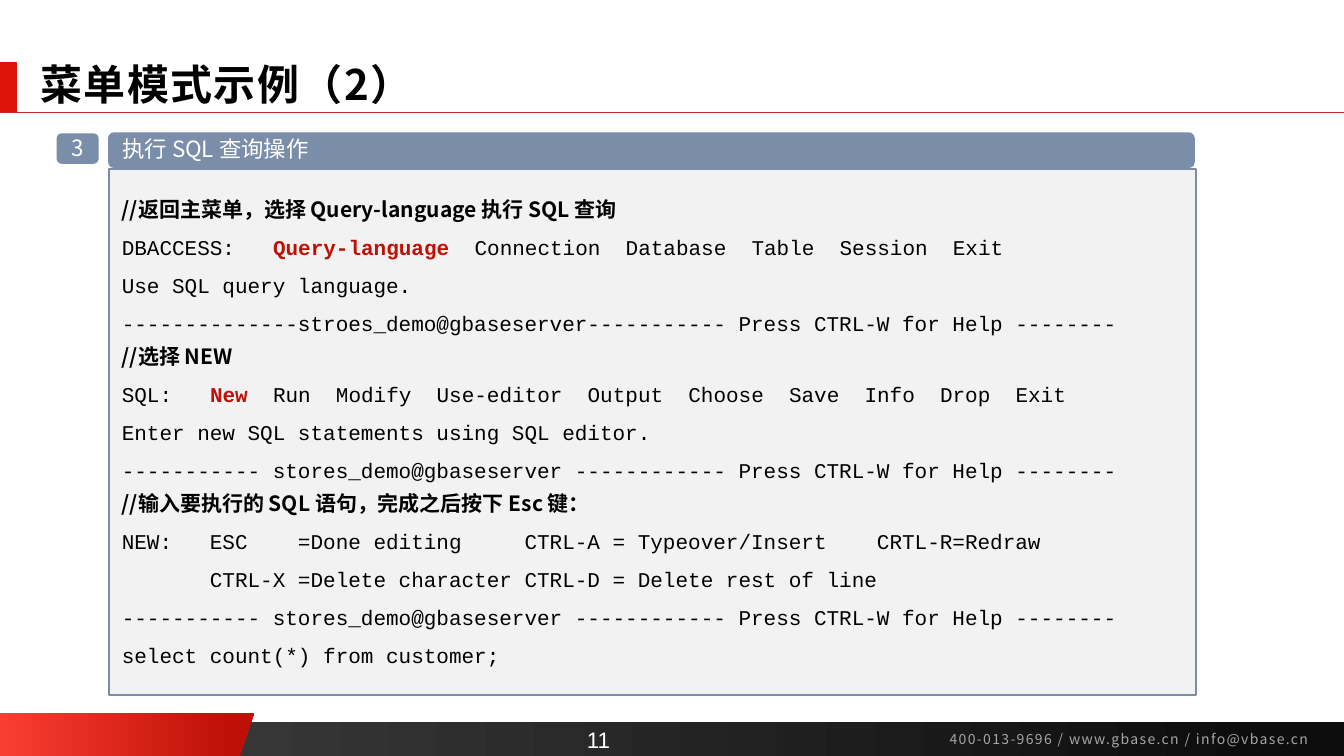
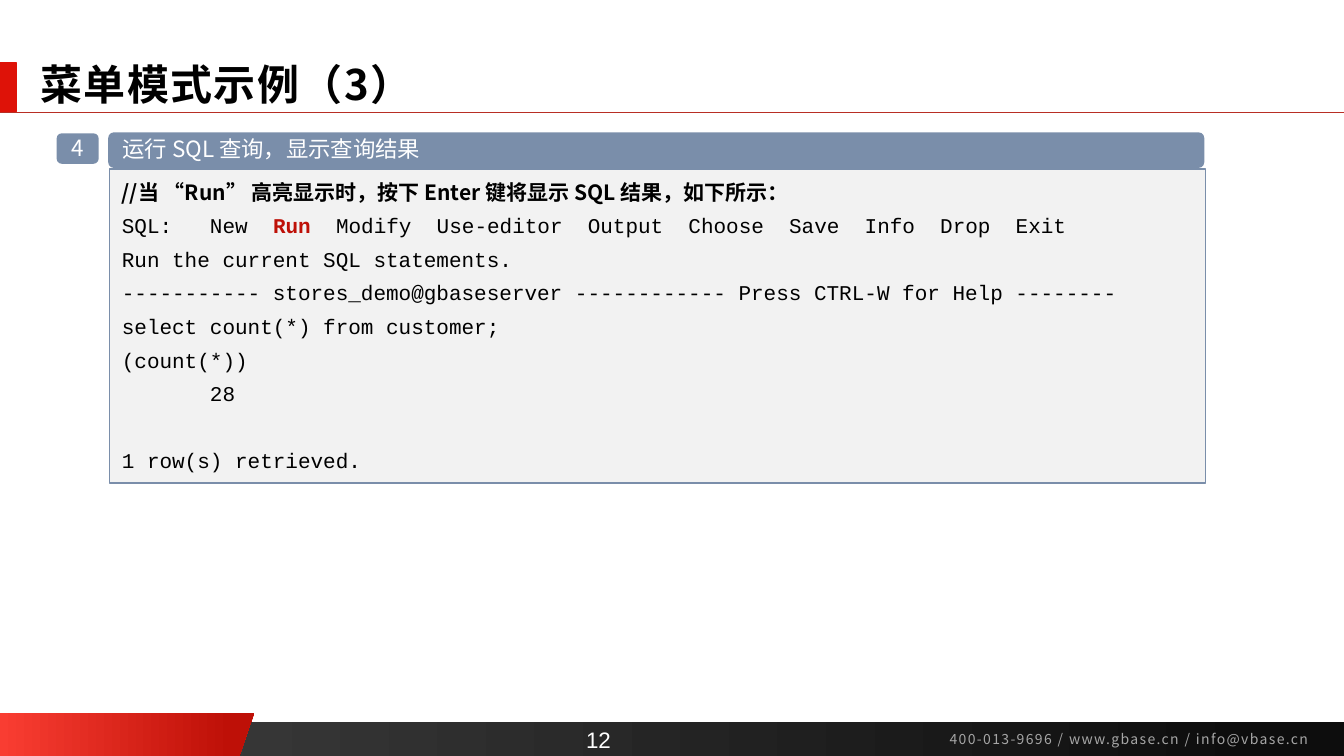
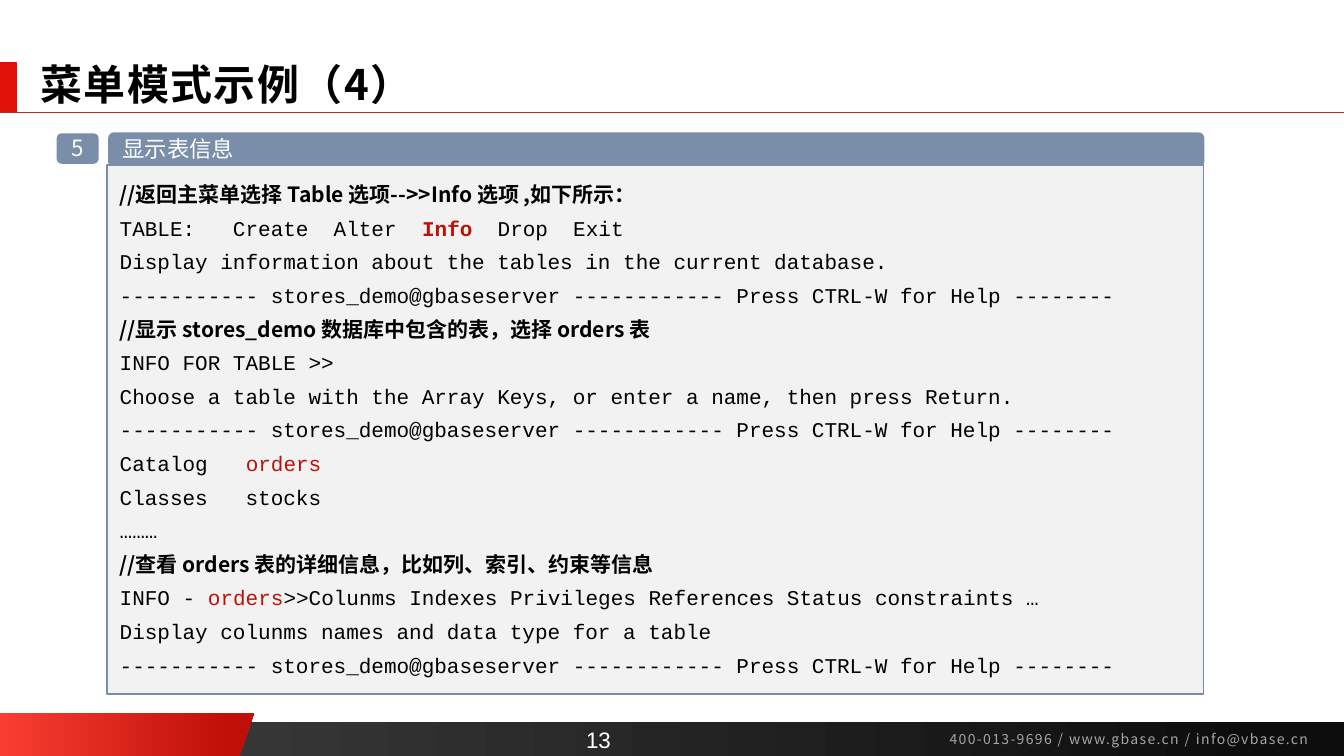
from lxml.etree import SubElement
from pptx import Presentation
from pptx.dml.color import RGBColor
from pptx.enum.shapes import MSO_CONNECTOR, MSO_SHAPE
from pptx.enum.text import MSO_ANCHOR, MSO_AUTO_SIZE, PP_ALIGN
from pptx.oxml.ns import qn
from pptx.util import Emu, Pt

PX = 9525
SANS, MONO, DIGITS = "Noto Sans CJK SC", "Courier New", "Arial"
COLORS = {
    "black": "000000", "white": "FFFFFF", "panel": "F2F2F2", "slate": "7A8EAA",
    "bar": "DE1208", "rule": "B82E24", "pick": "BE1007", "wedge": "F93D32",
    "band_from": "404040", "band_to": "0D0D0D", "contact": "A6A6A6",
}
STYLES = {
    "note": dict(font=SANS, size=15, bold=True),
    "code": dict(font=MONO, size=15),
    "pick": dict(font=MONO, size=15, color="pick", bold=True),
    "name": dict(font=MONO, size=15, color="pick"),
    "title": dict(font=SANS, size=30, bold=True, spacing=100),
    "label": dict(font=SANS, size=16, color="white"),
    "contact": dict(font=SANS, size=10, color="contact", spacing=100),
    "page": dict(font=DIGITS, size=16, color="white"),
}
HELP = "----------- stores_demo@gbaseserver ------------ Press CTRL-W for Help --------"


def px(*values):
    return [Emu(v * PX) for v in values]


def rgb(name):
    return RGBColor.from_string(COLORS[name])


def add_run(p, text, style):
    look = STYLES[style]
    r = p.add_run()
    r.text = text
    r.font.name = look["font"]
    r.font.size = Pt(look["size"])
    r.font.bold = look.get("bold", False)
    r.font.color.rgb = rgb(look.get("color", "black"))
    rPr = r.font._element
    SubElement(rPr, qn("a:ea")).set("typeface", look["font"])
    if "spacing" in look:
        rPr.set("spc", str(look["spacing"]))


def set_insets(tf, x, y):
    tf.margin_left, tf.margin_right = px(x, x)
    tf.margin_top, tf.margin_bottom = px(y, y)


def add_box(slide, kind, box, fill, line=None):
    sp = slide.shapes.add_shape(kind, *px(*box))
    sp.shadow.inherit = False
    sp.fill.solid()
    sp.fill.fore_color.rgb = rgb(fill)
    if line:
        sp.line.color.rgb = rgb(line)
        sp.line.width = Pt(1)
    else:
        sp.line.fill.background()
    tf = sp.text_frame
    tf.word_wrap = True
    tf.vertical_anchor = MSO_ANCHOR.MIDDLE
    set_insets(tf, 12, 7)
    return sp


def add_text(slide, box, text, style, align, anchor):
    sp = slide.shapes.add_textbox(*px(*box))
    tf = sp.text_frame
    tf.word_wrap = True
    tf.vertical_anchor = anchor
    p = tf.paragraphs[0]
    p.alignment = align
    add_run(p, text, style)
    return sp


def shade(sp, start, end, stop):
    sp.shadow.inherit = False
    sp.line.fill.background()
    sp.fill.gradient()
    sp.fill.gradient_angle = 0
    first, last = sp.fill.gradient_stops
    first.color.rgb, first.position = rgb(start), 0
    last.color.rgb, last.position = rgb(end), stop


def add_frame(slide, layout):
    for ph in list(layout.placeholders):
        if ph.placeholder_format.idx:
            ph.element.getparent().remove(ph.element)
    band = slide.shapes.add_shape(MSO_SHAPE.RECTANGLE, *px(0, 688, 1280, 32))
    shade(band, "band_from", "band_to", 0.94)
    outline = slide.shapes.build_freeform(0, 679, scale=PX)
    outline.add_line_segments([(242, 679), (228, 720), (0, 720)], close=True)
    wedge = outline.convert_to_shape()
    shade(wedge, "wedge", "pick", 0.91)
    bar = add_box(slide, MSO_SHAPE.RECTANGLE, (0, 60, 16, 46), "bar", "bar")
    rule = slide.shapes.add_connector(MSO_CONNECTOR.STRAIGHT, *px(0, 107, 1280, 107))
    rule.line.color.rgb = rgb("rule")
    rule.line.width = Pt(0.5)
    SubElement(rule.element.spPr, qn("a:effectLst"))
    contact = add_text(slide, (895, 691, 383, 26),
                       "400-013-9696 / www.gbase.cn / info@vbase.cn",
                       "contact", PP_ALIGN.LEFT, MSO_ANCHOR.TOP)
    for sp in (band, wedge, bar, rule, contact):
        layout.shapes.element.append(sp.element)


def set_title(slide, text):
    title = slide.shapes.title
    title.left, title.top, title.width, title.height = px(29, 57, 1177, 51)
    tf = title.text_frame
    tf.auto_size = MSO_AUTO_SIZE.NONE
    tf.vertical_anchor = MSO_ANCHOR.MIDDLE
    p = tf.paragraphs[0]
    p.alignment = PP_ALIGN.LEFT
    p.line_spacing = 0.9
    add_run(p, text, "title")


def add_label(slide, box, text, align):
    sp = add_box(slide, MSO_SHAPE.ROUNDED_RECTANGLE, box, "slate")
    p = sp.text_frame.paragraphs[0]
    p.alignment = align
    p.line_spacing = 0.93
    add_run(p, text, "label")


def add_heading(slide, x, y, width, step, text):
    add_label(slide, (x, y + 1, 40, 29), step, PP_ALIGN.CENTER)
    add_label(slide, (x + 49, y, width, 34), text, PP_ALIGN.LEFT)


def add_terminal(slide, box, lines):
    sp = add_box(slide, MSO_SHAPE.RECTANGLE, box, "panel", "slate")
    tf = sp.text_frame
    for i, (gap, runs) in enumerate(lines):
        p = tf.add_paragraph() if i else tf.paragraphs[0]
        p.alignment = PP_ALIGN.LEFT
        p.line_spacing = Pt(18)
        p.space_before = Pt(gap if i else 0)
        for text, style in runs:
            add_run(p, text, style)


def note(text):
    return 6, [(text, "note")]


def code(before, marked="", after="", style="pick", gap=6):
    runs = [(before, "code"), (marked, style), (after, "code")]
    return gap, [run for run in runs if run[0]]


def wide(*parts):
    return code(*parts, gap=9)


PAGES = [
    dict(page=11, title="菜单模式示例（2）", step="3", heading="执行 SQL 查询操作",
         width=1035, panel=(104, 161, 1035, 501), lines=[
             note("//返回主菜单，选择 Query-language 执行 SQL 查询"),
             wide("DBACCESS:   ", "Query-language",
                  "  Connection  Database  Table  Session  Exit"),
             wide("Use SQL query language."),
             wide("--------------stroes_demo@gbaseserver----------- Press CTRL-W for Help --------"),
             note("//选择 NEW"),
             wide("SQL:   ", "New",
                  "  Run  Modify  Use-editor  Output  Choose  Save  Info  Drop  Exit"),
             wide("Enter new SQL statements using SQL editor."),
             wide(HELP),
             note("//输入要执行的 SQL 语句，完成之后按下 Esc 键："),
             wide("NEW:   ESC    =Done editing     CTRL-A = Typeover/Insert    CRTL-R=Redraw"),
             wide("       CTRL-X =Delete character CTRL-D = Delete rest of line"),
             wide(HELP),
             wide("select count(*) from customer;"),
         ]),
    dict(page=12, title="菜单模式示例（3）", step="4", heading="运行 SQL 查询，显示查询结果",
         width=1044, panel=(104, 161, 1044, 299), lines=[
             note("//当 “Run” 高亮显示时，按下 Enter 键将显示 SQL 结果，如下所示："),
             code("SQL:   New  ", "Run",
                  "  Modify  Use-editor  Output  Choose  Save  Info  Drop  Exit"),
             code("Run the current SQL statements."),
             code(HELP),
             code("select count(*) from customer;"),
             code("(count(*))"),
             code("       28"),
             code("1 row(s) retrieved.", gap=30),
         ]),
    dict(page=13, title="菜单模式示例（4）", step="5", heading="显示表信息",
         width=1044, panel=(102, 157, 1044, 504), lines=[
             note("//返回主菜单选择 Table 选项-->>Info 选项 ,如下所示："),
             code("TABLE:   Create  Alter  ", "Info", "  Drop  Exit"),
             code("Display information about the tables in the current database."),
             code(HELP),
             note("//显示 stores_demo 数据库中包含的表，选择 orders 表"),
             code("INFO FOR TABLE >>"),
             code("Choose a table with the Array Keys, or enter a name, then press Return."),
             code(HELP),
             code("Catalog   ", "orders", style="name"),
             code("Classes   stocks"),
             code("………"),
             note("//查看 orders 表的详细信息，比如列、索引、约束等信息"),
             code("INFO - ", "orders",
                  ">>Colunms Indexes Privileges References Status constraints …", "name"),
             code("Display colunms names and data type for a table"),
             code(HELP),
         ]),
]


def add_page(prs, layout, page, title, step, heading, width, panel, lines):
    slide = prs.slides.add_slide(layout)
    if len(prs.slides) == 1:
        add_frame(slide, layout)
    set_title(slide, title)
    add_heading(slide, 54, 126, width, step, heading)
    add_terminal(slide, panel, lines)
    add_text(slide, (544, 686, 52, 36), str(page), "page",
             PP_ALIGN.CENTER, MSO_ANCHOR.BOTTOM)


def main():
    prs = Presentation()
    prs.slide_width, prs.slide_height = px(1280, 720)
    layout = prs.slide_layouts[5]
    for page in PAGES:
        add_page(prs, layout, **page)
    prs.save("out.pptx")


if __name__ == "__main__":
    main()
